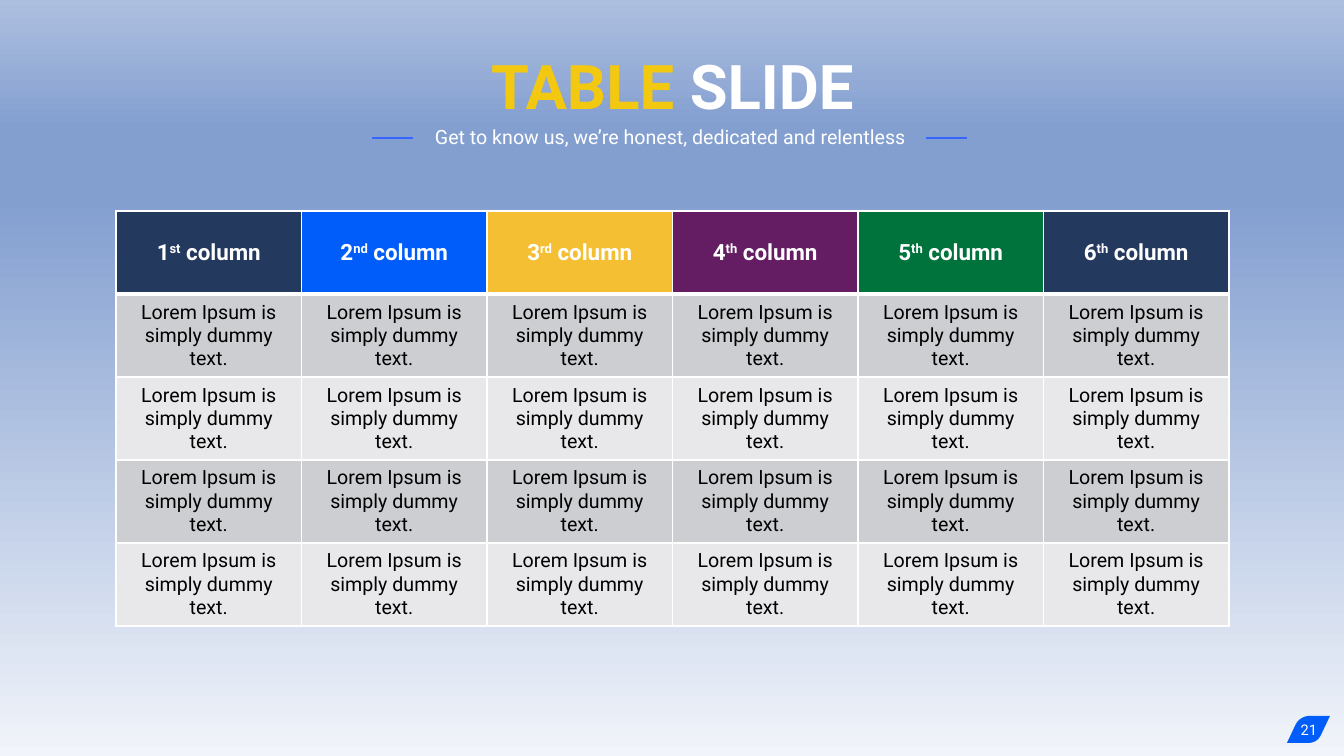
from lxml import etree
from copy import deepcopy
from pptx import Presentation
from pptx import util as u
from pptx.dml.color import RGBColor
from pptx.enum import shapes, text
from pptx.oxml import ns

SCALE = 12192000 / 1344
WHITE = RGBColor(0xFF, 0xFF, 0xFF)
BLACK = RGBColor(0x00, 0x00, 0x00)
NAVY = RGBColor(0x24, 0x39, 0x5E)
BLUE = RGBColor(0x00, 0x5D, 0xF9)
AMBER = RGBColor(0xF4, 0xBF, 0x33)
PURPLE = RGBColor(0x64, 0x1C, 0x62)
GREEN = RGBColor(0x00, 0x72, 0x3C)
YELLOW = RGBColor(0xF2, 0xC8, 0x10)
RULE_BLUE = RGBColor(0x36, 0x66, 0xFF)
BANDS = [RGBColor(0xCD, 0xCE, 0xD2), RGBColor(0xE8, 0xE8, 0xEA)]
SKY = [
    (0, RGBColor(0xF1, 0xF4, 0xFA)),
    (0.74, RGBColor(0x83, 0x9F, 0xD0)),
    (0.83, RGBColor(0x83, 0x9F, 0xD0)),
    (1, RGBColor(0xAD, 0xBF, 0xDF)),
]
COLUMNS = [("1", "st", NAVY), ("2", "nd", BLUE), ("3", "rd", AMBER),
           ("4", "th", PURPLE), ("5", "th", GREEN), ("6", "th", NAVY)]
BODY_ROWS = 4
BODY_TEXT = "Lorem Ipsum is simply dummy text."


def px(n):
    return u.Emu(round(n * SCALE))


def curve(p0, p1, p2, p3, steps=12):
    points = []
    for i in range(steps + 1):
        t = i / steps
        points.append(tuple(
            (1 - t) ** 3 * a + 3 * (1 - t) ** 2 * t * b + 3 * (1 - t) * t ** 2 * c + t ** 3 * d
            for a, b, c, d in zip(p0, p1, p2, p3)))
    return points


class SlideBuilder:
    font = "Roboto"

    def __init__(self, prs):
        self.s = prs.slides.add_slide(prs.slide_layouts[6])

    def background(self, stops):
        fill = self.s.background.fill
        fill.gradient()
        fill.gradient_angle = 90
        stop_list = self.s.element.find(".//" + ns.qn("a:gsLst"))
        while len(stop_list) < len(stops):
            stop_list.append(deepcopy(stop_list[0]))
        for stop, (position, color) in zip(fill.gradient_stops, stops):
            stop.position = position
            stop.color.rgb = color

    def add_runs(self, tf, runs, size, bold=False):
        p = tf.paragraphs[0]
        p.alignment = text.PP_ALIGN.CENTER
        for content, color, raised in runs:
            r = p.add_run()
            r.text = content
            r.font.name = self.font
            r.font.size = u.Pt(size)
            r.font.bold = bold
            r.font.color.rgb = color
            if raised:
                r.font._element.set("baseline", "30000")

    def label(self, x, y, w, h, runs, size, bold=False, anchor=text.MSO_ANCHOR.MIDDLE):
        tf = self.s.shapes.add_textbox(px(x), px(y), px(w), px(h)).text_frame
        tf.word_wrap = True
        tf.vertical_anchor = anchor
        self.add_runs(tf, runs, size, bold)

    def rule(self, x1, x2, y):
        line = self.s.shapes.add_connector(
            shapes.MSO_CONNECTOR.STRAIGHT, px(x1), px(y), px(x2), px(y))
        line.line.color.rgb = RULE_BLUE
        line.line.width = u.Pt(1.5)
        etree.SubElement(line._element.spPr, ns.qn("a:effectLst"))

    def outline(self, points, color):
        start, *rest = [(px(x), px(y)) for x, y in points]
        builder = self.s.shapes.build_freeform(*start)
        builder.add_line_segments(rest, close=True)
        sp = builder.convert_to_shape()
        sp.shadow.inherit = False
        sp.fill.solid()
        sp.fill.fore_color.rgb = color
        sp.line.fill.background()

    def cell(self, cell, runs, size, color, bold, widths):
        tc_pr = cell._tc.get_or_add_tcPr()
        for side, width in zip("LRTB", widths):
            ln = etree.SubElement(tc_pr, ns.qn("a:ln" + side), w=str(u.Pt(width)))
            fill = etree.SubElement(ln, ns.qn("a:solidFill"))
            etree.SubElement(fill, ns.qn("a:srgbClr"), val=str(WHITE))
        cell.fill.solid()
        cell.fill.fore_color.rgb = color
        cell.vertical_anchor = text.MSO_ANCHOR.MIDDLE
        self.add_runs(cell.text_frame, runs, size, bold)

    def table(self, x, y, w, row_height):
        rows = BODY_ROWS + 1
        table = self.s.shapes.add_table(
            rows, len(COLUMNS), px(x), px(y), px(w), px(row_height * rows)).table
        table.horz_banding = False
        for row in table.rows:
            row.height = px(row_height)
        for c, (number, suffix, color) in enumerate(COLUMNS):
            table.columns[c].width = px(w / len(COLUMNS))
            heading = [(number, WHITE, False), (suffix, WHITE, True), (" column", WHITE, False)]
            self.cell(table.cell(0, c), heading, 16, color, True, (1, 1, 1, 3))
            for r in range(1, rows):
                top = 3 if r == 1 else 1
                self.cell(table.cell(r, c), [(BODY_TEXT, BLACK, False)], 14,
                          BANDS[(r - 1) % 2], False, (1, 1, top, 1))


def main():
    prs = Presentation()
    prs.slide_width, prs.slide_height = px(1344), px(756)
    slide = SlideBuilder(prs)
    slide.background(SKY)
    badge = (curve((1309, 716), (1307, 716), (1300, 717), (1296, 724))
             + [(1287, 743)]
             + curve((1308, 743), (1310, 743), (1317, 743), (1321, 735))
             + [(1330, 716)])
    slide.outline(badge, BLUE)
    slide.label(93, 49, 1159, 72, [("TABLE", YELLOW, False), (" SLIDE", WHITE, False)], 44, True)
    slide.label(91, 120, 1159, 37,
                [("Get to know us, we’re honest, dedicated and relentless", WHITE, False)],
                14, anchor=text.MSO_ANCHOR.TOP)
    slide.label(1280, 710, 58, 40, [("21", WHITE, False)], 10.5)
    slide.table(116, 211, 1113, 83)
    for left in (372, 926):
        slide.rule(left + 41, left, 138)
    prs.save("out.pptx")


if __name__ == "__main__":
    main()
